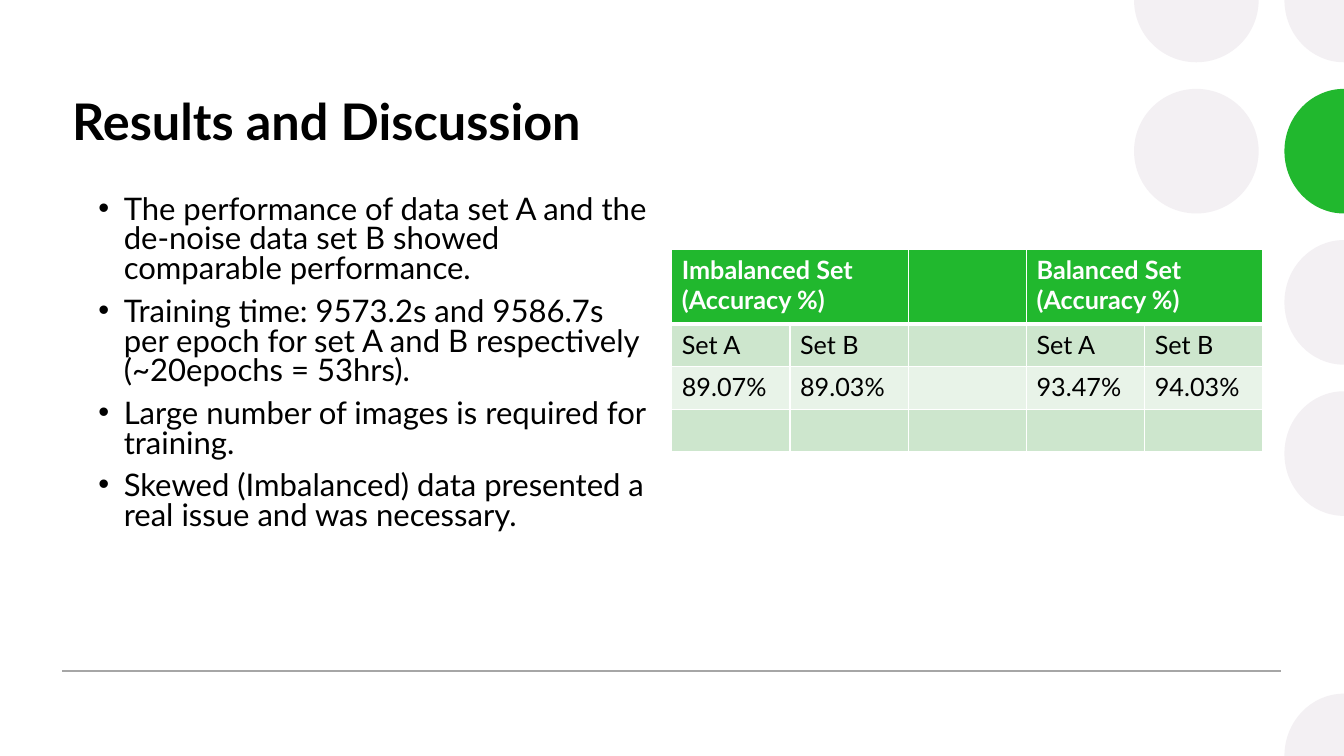
from math import cos, pi, sin

from lxml.etree import SubElement
from pptx import Presentation
from pptx.dml.color import RGBColor
from pptx.enum.shapes import MSO_CONNECTOR as Connector, MSO_SHAPE as Shape
from pptx.enum.text import MSO_ANCHOR as Anchor, PP_ALIGN as Align
from pptx.oxml.ns import qn
from pptx.util import Cm, Pt

TITLE = "Results and Discussion"
FINDINGS = [
    "The performance of data set A and the de-noise data set B showed comparable performance.",
    "Training time: 9573.2s and 9586.7s per epoch for set A and B respectively (~20epochs = 53hrs).",
    "Large number of images is required for training.",
    "Skewed (Imbalanced) data presented a real issue and was necessary.",
]
ACCURACY = [
    ["Imbalanced Set (Accuracy %)", "", "", "Balanced Set (Accuracy %)", ""],
    ["Set A", "Set B", "", "Set A", "Set B"],
    ["89.07%", "89.03%", "", "93.47%", "94.03%"],
    ["", "", "", "", ""],
]
MERGED_HEADERS = [(0, 1), (3, 4)]
# Dots cut by the slide edge: column, row, colour, visible quarters (clockwise from lower right)
CUT_DOTS = [("inner", 0, "pale", (0, 1)), ("edge", 5, "pale", (2,)),
            ("edge", 3, "pale", (1, 2)), ("edge", 2, "pale", (1, 2)),
            ("edge", 1, "green", (1, 2)), ("edge", 0, "pale", (1,))]


class Theme:
    font = "Lato"
    colours = {name: RGBColor.from_string(value) for name, value in {
        "text": "000000", "white": "FFFFFF", "green": "21B82E", "pale": "F3F0F3",
        "rule": "A6A6A6", "band": "CDE6CD", "light band": "E8F3E8"}.items()}
    sizes = {"title": Pt(36), "body": Pt(22.2), "table": Pt(18)}


WIDTH, HEIGHT = 33.87, 19.05
DOT_RADIUS, DOT_PITCH = 1.57, 3.81
# Centre and horizontal radius of each column of dots
DOT_COLUMNS = {"inner": (30.15, DOT_RADIUS), "edge": (WIDTH, 1.5)}
TITLE_BOX = (1.57, 2.14, 20.37, 3.53)
BODY_BOX = (2.23, 4.82, 14.45, 9.42)
BULLET_INDENT = 0.64
RULE_LEFT, RULE_RIGHT, RULE_TOP = 1.57, 32.28, 16.91
TABLE_LEFT, TABLE_TOP, COLUMN_WIDTH = 16.93, 6.29, 2.98
HEADER_HEIGHT, ROW_HEIGHT = 1.88, 1.07


def paint(shape, colour):
    shape.fill.solid()
    shape.fill.fore_color.rgb = Theme.colours[colour]
    shape.line.fill.background()
    shape.shadow.inherit = False


def add_full_dot(slide):
    x, radius = DOT_COLUMNS["inner"]
    dot = slide.shapes.add_shape(Shape.OVAL, Cm(x - radius), Cm(DOT_PITCH - radius),
                                 Cm(2 * radius), Cm(2 * radius))
    paint(dot, "pale")


def add_cut_dot(slide, column, row, colour, quarters):
    """Add the visible quarters of a circle as one curved outline."""
    x, radius = DOT_COLUMNS[column]
    y = row * DOT_PITCH
    handle = 0.5523  # length of a Bézier handle for a quarter of a unit circle

    def place(angle, tangent=0):
        return (Cm(x + radius * (cos(angle) - tangent * sin(angle))),
                Cm(y + DOT_RADIUS * (sin(angle) + tangent * cos(angle))))

    points = [place(quarters[0] * pi / 2)]
    for quarter in quarters:
        start, end = quarter * pi / 2, (quarter + 1) * pi / 2
        points += [place(start, handle), place(end, -handle), place(end)]
    builder = slide.shapes.build_freeform(Cm(x), Cm(y))
    builder.add_line_segments(points, close=True)
    dot = builder.convert_to_shape()
    curve_lines(dot)
    paint(dot, colour)


def curve_lines(shape):
    """Turn each three line steps after the first into one Bézier curve."""
    steps = list(shape._element.iter(qn("a:lnTo")))[1:]
    for first, second, third in zip(steps[::3], steps[1::3], steps[2::3]):
        outline = first.getparent()
        curve = SubElement(outline, qn("a:cubicBezTo"))
        outline.insert(outline.index(first), curve)
        for step in (first, second, third):
            curve.append(step[0])
            outline.remove(step)


def add_rule(slide):
    rule = slide.shapes.add_connector(Connector.STRAIGHT, Cm(RULE_LEFT), Cm(RULE_TOP),
                                      Cm(RULE_RIGHT), Cm(RULE_TOP))
    rule.line.color.rgb = Theme.colours["rule"]
    rule.line.width = Pt(1)
    SubElement(rule._element.spPr, qn("a:effectLst"))


def write(paragraph, text, size, colour="text", bold=False):
    run = paragraph.add_run()
    run.text = text
    formats = {"name": Theme.font, "size": Theme.sizes[size], "bold": bold}
    for attribute, value in formats.items():
        setattr(run.font, attribute, value)
    run.font.color.rgb = Theme.colours[colour]


def add_text(slide, box, lines, size, bold=False, bulleted=False):
    frame = slide.shapes.add_textbox(*map(Cm, box)).text_frame
    frame.word_wrap = True
    frame.vertical_anchor = Anchor.TOP
    for index, line in enumerate(lines):
        paragraph = frame.add_paragraph() if index else frame.paragraphs[0]
        paragraph.alignment = Align.LEFT
        write(paragraph, line, size, bold=bold)
        if bulleted:
            add_bullet(paragraph)


def add_bullet(paragraph):
    paragraph.line_spacing = 0.8
    paragraph.space_before = Pt(9)
    properties = paragraph._p.get_or_add_pPr()
    properties.set("marL", str(Cm(BULLET_INDENT)))
    properties.set("indent", str(-Cm(BULLET_INDENT)))
    SubElement(properties, qn("a:buFont"), typeface="Arial")
    SubElement(properties, qn("a:buChar"), char="•")


def set_borders(cell, row):
    """Draw white borders, thicker between the header and the rows below."""
    properties = cell._tc.get_or_add_tcPr()
    thick_side = {0: "lnB", 1: "lnT"}.get(row)
    for position, side in enumerate(("lnL", "lnR", "lnT", "lnB")):
        width = Pt(3 if side == thick_side else 1)
        border = SubElement(properties, qn(f"a:{side}"), w=str(width))
        fill = SubElement(border, qn("a:solidFill"))
        SubElement(fill, qn("a:srgbClr"), val=str(Theme.colours["white"]))
        properties.insert(position, border)


def add_accuracy_table(slide):
    row_count, column_count = len(ACCURACY), len(ACCURACY[0])
    heights = [HEADER_HEIGHT] + [ROW_HEIGHT] * (row_count - 1)
    table = slide.shapes.add_table(row_count, column_count, Cm(TABLE_LEFT), Cm(TABLE_TOP),
                                   Cm(COLUMN_WIDTH * column_count), Cm(sum(heights))).table
    for column in table.columns:
        column.width = Cm(COLUMN_WIDTH)
    for row, values in enumerate(ACCURACY):
        table.rows[row].height = Cm(heights[row])
        header = row == 0
        fill = "green" if header else "band" if row % 2 else "light band"
        for column, value in enumerate(values):
            cell = table.cell(row, column)
            cell.fill.solid()
            cell.fill.fore_color.rgb = Theme.colours[fill]
            set_borders(cell, row)
            if value:
                write(cell.text_frame.paragraphs[0], value, "table",
                      "white" if header else "text", header)
    for first, last in MERGED_HEADERS:
        table.cell(0, first).merge(table.cell(0, last))


def main():
    presentation = Presentation()
    presentation.slide_width, presentation.slide_height = Cm(WIDTH), Cm(HEIGHT)
    slide = presentation.slides.add_slide(presentation.slide_layouts[6])
    add_full_dot(slide)
    for dot in CUT_DOTS:
        add_cut_dot(slide, *dot)
    add_rule(slide)
    add_text(slide, TITLE_BOX, [TITLE], "title", bold=True)
    add_text(slide, BODY_BOX, FINDINGS, "body", bulleted=True)
    add_accuracy_table(slide)
    presentation.save("out.pptx")


if __name__ == "__main__":
    main()
